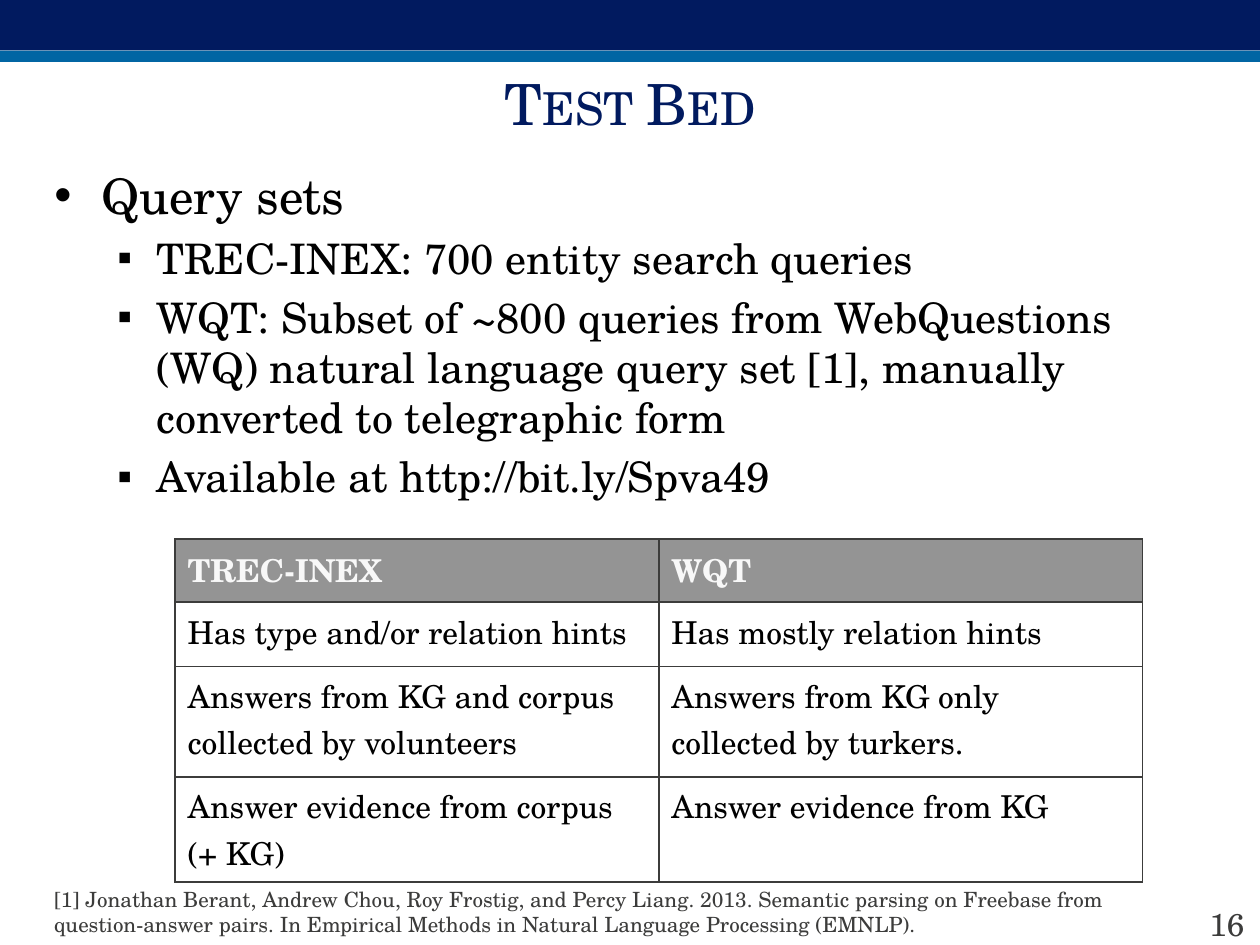
from dataclasses import dataclass

from lxml import etree
from pptx import Presentation
from pptx.dml.color import RGBColor
from pptx.enum import shapes, text
from pptx.oxml import ns
from pptx.util import Cm, Pt

FONT = "TeX Gyre Schola"
COLORS = {
    "navy": "011A5F",
    "blue": "0165A3",
    "dark": "3C3C3B",
    "gray": "949494",
    "pale": "F8F8F8",
    "black": "000000",
    "white": "FFFFFF",
}


@dataclass
class Box:
    left: float
    top: float
    width: float
    height: float

    def lengths(self) -> tuple:
        return Cm(self.left), Cm(self.top), Cm(self.width), Cm(self.height)


@dataclass
class Band:
    box: Box
    color: str


@dataclass
class Level:
    size: float
    mark: str
    left: float
    hang: float


@dataclass
class Item:
    level: int
    words: str


@dataclass
class Row:
    height: float
    cells: tuple


BANDS = [
    Band(Box(0, 0, 25.4, 1.02), "navy"),
    Band(Box(0, 1.02, 25.4, 0.23), "blue"),
]
LEVELS = [Level(28, "•", 0.95, 0.95), Level(24, "▪", 2.06, 0.79)]
ITEMS = [
    Item(0, "Query sets"),
    Item(1, "TREC-INEX: 700 entity search queries"),
    Item(1, "WQT: Subset of ~800 queries from WebQuestions (WQ) natural "
            "language query set [1], manually converted to telegraphic form"),
    Item(1, "Available at http://bit.ly/Spva49"),
]
ROWS = [
    Row(1.27, ("TREC-INEX", "WQT")),
    Row(1.3, ("Has type and/or relation hints", "Has mostly relation hints")),
    Row(2.22, ("Answers from KG and corpus collected by volunteers",
               "Answers from KG only collected by turkers.")),
    Row(2.12, ("Answer evidence from corpus (+ KG)", "Answer evidence from KG")),
]
CITE = ("[1] Jonathan Berant, Andrew Chou, Roy Frostig, and Percy Liang. 2013. "
        "Semantic parsing on Freebase from question-answer pairs. "
        "In Empirical Methods in Natural Language Processing (EMNLP).")


def rgb(name: str) -> RGBColor:
    return RGBColor.from_string(COLORS[name])


def add_run(para, words: str, size: float, color: str, bold: bool = False):
    run = para.add_run()
    run.text = words
    run.font.name = FONT
    run.font.size = Pt(size)
    run.font.bold = bold
    run.font.color.rgb = rgb(color)
    return run


def place(shape, box: Box) -> None:
    shape.left, shape.top, shape.width, shape.height = box.lengths()


def draw_band(slide, band: Band) -> None:
    shape = slide.shapes.add_shape(
        shapes.MSO_SHAPE.RECTANGLE, *band.box.lengths())
    shape.shadow.inherit = False
    shape.fill.solid()
    shape.fill.fore_color.rgb = rgb(band.color)
    shape.line.fill.background()


def draw_title(slide, words: str) -> None:
    title = slide.shapes.title
    place(title, Box(0.64, 1.22, 24.13, 1.7))
    frame = title.text_frame
    frame.auto_size = text.MSO_AUTO_SIZE.NONE
    frame.vertical_anchor = text.MSO_ANCHOR.MIDDLE
    para = frame.paragraphs[0]
    para.alignment = text.PP_ALIGN.CENTER
    run = add_run(para, words, 32.4, "navy")
    run.font._element.set("cap", "small")


def draw_list(slide, items: list[Item]) -> None:
    body = slide.placeholders[1]
    place(body, Box(0.84, 3.2, 23.93, 14.55))
    frame = body.text_frame
    frame.auto_size = text.MSO_AUTO_SIZE.NONE
    for n, item in enumerate(items):
        para = frame.add_paragraph() if n else frame.paragraphs[0]
        level = LEVELS[item.level]
        para.level = item.level
        props = para._p.get_or_add_pPr()
        props.set("marL", str(Cm(level.left)))
        props.set("indent", str(-Cm(level.hang)))
        etree.SubElement(props, ns.qn("a:buChar")).set("char", level.mark)
        para.space_before = Pt(0.2 * level.size if n else 0)
        add_run(para, item.words, level.size, "black")


def add_edges(cell, color: str) -> None:
    props = cell._tc.get_or_add_tcPr()
    for side in ("lnL", "lnR", "lnT", "lnB"):
        line = etree.SubElement(props, ns.qn(f"a:{side}"))
        line.set("w", str(Pt(1)))
        fill = etree.SubElement(line, ns.qn("a:solidFill"))
        etree.SubElement(fill, ns.qn("a:srgbClr")).set("val", COLORS[color])


def draw_table(slide, rows: list[Row]) -> None:
    box = Box(3.53, 10.87, 19.5, sum(row.height for row in rows))
    table = slide.shapes.add_table(len(rows), 2, *box.lengths()).table
    for r, row in enumerate(rows):
        table.rows[r].height = Cm(row.height)
        head = r == 0
        for c, words in enumerate(row.cells):
            cell = table.cell(r, c)
            add_edges(cell, "dark")
            cell.fill.solid()
            cell.fill.fore_color.rgb = rgb("gray" if head else "white")
            para = cell.text_frame.paragraphs[0]
            add_run(para, words, 18, "pale" if head else "black", head)


def draw_note(slide, box: Box, words: str, size: float) -> None:
    frame = slide.shapes.add_textbox(*box.lengths()).text_frame
    frame.word_wrap = True
    add_run(frame.paragraphs[0], words, size, "dark")


def main() -> None:
    deck = Presentation()
    deck.slide_width, deck.slide_height = Cm(25.4), Cm(19.05)
    slide = deck.slides.add_slide(deck.slide_layouts[1])
    for band in BANDS:
        draw_band(slide, band)
    draw_title(slide, "Test Bed")
    draw_list(slide, ITEMS)
    draw_table(slide, ROWS)
    draw_note(slide, Box(0.84, 17.75, 22.48, 1.27), CITE, 12)
    draw_note(slide, Box(24.13, 18.11, 1.27, 0.94), "16", 18)
    deck.save("out.pptx")


if __name__ == "__main__":
    main()
